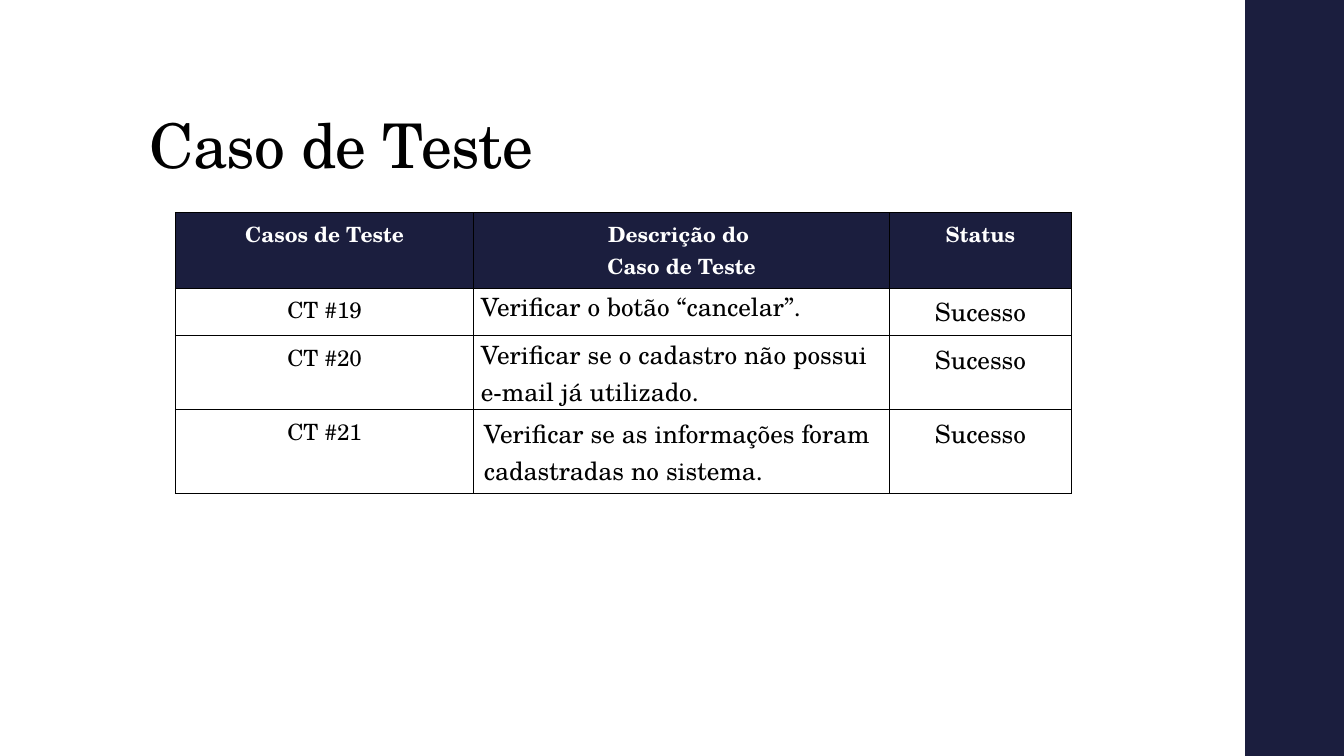
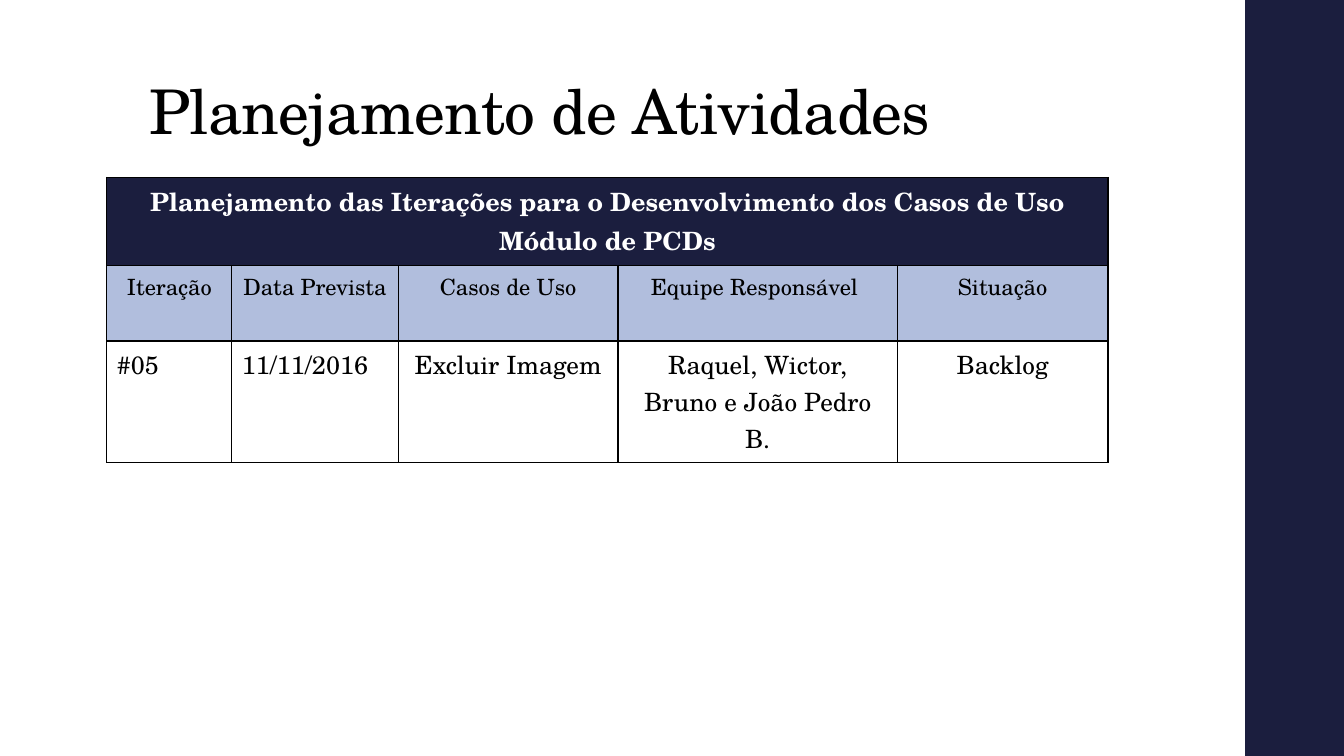
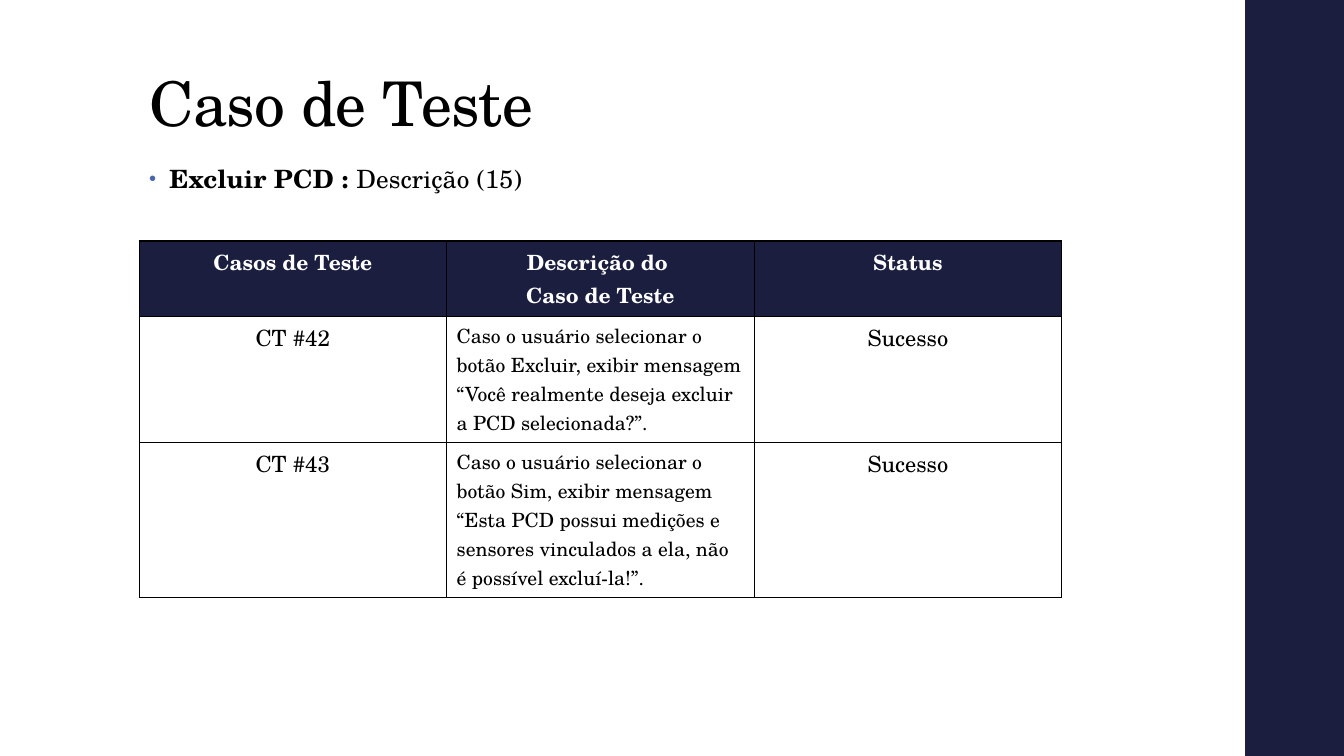
import pptx
import pptx.util
import pptx.dml.color
import pptx.enum.shapes
import pptx.enum.text
import pptx.oxml.ns
from lxml import etree

Inches, Pt = pptx.util.Inches, pptx.util.Pt
qn = pptx.oxml.ns.qn
ALIGN = {"l": pptx.enum.text.PP_ALIGN.LEFT, "c": pptx.enum.text.PP_ALIGN.CENTER}

# Shared look
FONT = "TeX Gyre Schola"
NAVY, PALE, WHITE, BLACK, BULLET = "1B1E3E", "B1BEDD", "FFFFFF", "000000", "4A66AC"
ROW_STYLES = {  # fill, text colour, bold
    "header": (NAVY, WHITE, True),
    "subheader": (PALE, BLACK, False),
    "body": (WHITE, BLACK, False),
}

# Content: each row is (style, height, text sizes, alignments, cell texts)
CASE_HEADER = ("header", 0.75, (15, 15, 15), "ccc",
               ("Casos de Teste", "Descrição do \nCaso de Teste", "Status"))
SLIDES = [
    {
        "title": "Caso de Teste", "title_box": (1.38, 0.4, 10.6, 1.45),
        "corner": (1.74, 2.11), "columns": (2.96, 4.12, 1.81),
        "rows": [
            CASE_HEADER,
            ("body", 0.47, (16, 18, 18), "clc",
             ("CT #19", "Verificar o botão “cancelar”.", "Sucesso")),
            ("body", 0.73, (16, 18, 18), "clc",
             ("CT #20", "Verificar se o cadastro não possui e-mail já utilizado.", "Sucesso")),
            ("body", 0.83, (16, 18, 18), "clc",
             ("CT #21", "Verificar se as informações foram cadastradas no sistema.", "Sucesso")),
        ],
        "tight_cells": [(1, 1), (2, 1)],
    },
    {
        "title": "Planejamento de Atividades", "title_box": (1.38, 0.67, 8.35, 0.85),
        "corner": (1.06, 1.76), "columns": (1.24, 1.65, 2.18, 2.77, 2.09),
        "rows": [
            ("header", 0.87, (18,), "c",
             ("Planejamento das Iterações para o Desenvolvimento dos Casos de Uso\nMódulo de PCDs",)),
            ("subheader", 0.75, (16,) * 5, "ccccc",
             ("Iteração", "Data Prevista", "Casos de Uso", "Equipe Responsável ", "Situação")),
            ("body", 1.2, (18,) * 5, "llccc",
             ("#05", "11/11/2016", "Excluir Imagem", "Raquel, Wictor, Bruno e João Pedro B.", "Backlog")),
        ],
    },
    {
        "title": "Caso de Teste", "title_box": (1.38, 0.62, 4.18, 0.82),
        "bullet": (("Excluir PCD : ", True), ("Descrição (15)", False)),
        "bullet_box": (1.38, 1.59, 9.4, 4.76),
        "corner": (1.38, 2.39), "columns": (3.05,) * 3,
        "rows": [
            CASE_HEADER,
            ("body", 1.25, (16, 14, 16), "clc",
             ("CT #42", "Caso o usuário selecionar o botão Excluir, exibir mensagem "
              "“Você realmente deseja excluir a PCD selecionada?”.", "Sucesso")),
            ("body", 1.54, (16, 14, 16), "clc",
             ("CT #43", "Caso o usuário selecionar o botão Sim, exibir mensagem “Esta PCD possui "
              "medições e sensores vinculados a ela, não é possível excluí-la!”.", "Sucesso")),
        ],
    },
]


def rgb(value):
    return pptx.dml.color.RGBColor.from_string(value)


def paint(target, color):
    target.fill.solid()
    target.fill.fore_color.rgb = rgb(color)


def add_run(paragraph, text, size, color=BLACK, bold=False):
    run = paragraph.add_run()
    run.text = text
    run.font.name, run.font.size, run.font.bold = FONT, Pt(size), bold
    run.font.color.rgb = rgb(color)


def add_band(prs, slide):
    """Draw the side band, then hand it to the master so all slides share it."""
    band = slide.shapes.add_shape(pptx.enum.shapes.MSO_SHAPE.RECTANGLE,
                                  Inches(12.35), 0, Inches(1), prs.slide_height)
    band.shadow.inherit = False
    paint(band, NAVY)
    band.line.fill.background()
    band.element.nvSpPr.cNvPr.set("id", "99")
    prs.slide_master.shapes.element.insert(2, band.element)


def prepare_placeholder(holder, box, anchor, line_spacing):
    holder.left, holder.top, holder.width, holder.height = map(Inches, box)
    frame = holder.text_frame
    frame.auto_size = pptx.enum.text.MSO_AUTO_SIZE.NONE
    frame.word_wrap = True
    frame.vertical_anchor = anchor
    paragraph = frame.paragraphs[0]
    paragraph.alignment = ALIGN["l"]
    paragraph.line_spacing = line_spacing
    paragraph.space_before = Pt(0)
    return paragraph


def set_tracking(holder, hundredths):
    for properties in holder.element.iter(qn("a:rPr")):
        properties.set("spc", str(hundredths))


def fill_title(slide, text, box):
    title = slide.shapes.title
    paragraph = prepare_placeholder(title, box, pptx.enum.text.MSO_ANCHOR.BOTTOM, 0.9)
    add_run(paragraph, text, 44)
    set_tracking(title, -50)


def fill_bullet(slide, runs, box):
    body = slide.placeholders[1]
    paragraph = prepare_placeholder(body, box, pptx.enum.text.MSO_ANCHOR.TOP, 0.95)
    paragraph.space_after = Pt(2)
    properties = next(body.element.iter(qn("a:pPr")))
    properties.set("marL", str(Inches(0.2)))
    properties.set("indent", str(Inches(-0.2)))
    color = etree.SubElement(properties, qn("a:buClr"))
    etree.SubElement(color, qn("a:srgbClr"), val=BULLET)
    etree.SubElement(properties, qn("a:buSzPct"), val="80000")
    etree.SubElement(properties, qn("a:buChar"), char="•")
    for text, bold in runs:
        add_run(paragraph, text, 18, bold=bold)
    set_tracking(body, 10)


def add_borders(table_frame):
    for tc in table_frame.element.iter(qn("a:tc")):
        properties = tc.get_or_add_tcPr()
        for side in ("lnL", "lnR", "lnT", "lnB"):
            line = etree.SubElement(properties, qn("a:" + side), w=str(Pt(1)))
            solid = etree.SubElement(line, qn("a:solidFill"))
            etree.SubElement(solid, qn("a:srgbClr"), val=BLACK)


def add_grid(slide, corner, columns, rows, tight_cells=()):
    heights = [row[1] for row in rows]
    grid_frame = slide.shapes.add_table(
        len(rows), len(columns), *map(Inches, (*corner, sum(columns), sum(heights))))
    grid = grid_frame.table
    grid.first_row = grid.horz_banding = False
    add_borders(grid_frame)
    for column, width in zip(grid.columns, columns):
        column.width = Inches(width)
    for r, (style, height, sizes, aligns, texts) in enumerate(rows):
        fill, color, bold = ROW_STYLES[style]
        grid.rows[r].height = Inches(height)
        for c in range(len(columns)):
            paint(grid.cell(r, c), fill)
        if len(texts) == 1:
            grid.cell(r, 0).merge(grid.cell(r, len(columns) - 1))
        for c, (text, size, align) in enumerate(zip(texts, sizes, aligns)):
            frame = grid.cell(r, c).text_frame
            for i, line in enumerate(text.split("\n")):
                paragraph = frame.add_paragraph() if i else frame.paragraphs[0]
                paragraph.alignment = ALIGN[align]
                add_run(paragraph, line, size, color, bold)
    for r, c in tight_cells:
        cell = grid.cell(r, c)
        cell.margin_left = cell.margin_right = Inches(0.07)
        cell.margin_top = cell.margin_bottom = 0


def main():
    prs = pptx.Presentation()
    prs.slide_width, prs.slide_height = Inches(13.33), Inches(7.5)
    for number, content in enumerate(SLIDES):
        layout = prs.slide_layouts[1 if "bullet" in content else 5]
        slide = prs.slides.add_slide(layout)
        if number == 0:
            add_band(prs, slide)
        fill_title(slide, content["title"], content["title_box"])
        if "bullet" in content:
            fill_bullet(slide, content["bullet"], content["bullet_box"])
        add_grid(slide, content["corner"], content["columns"], content["rows"],
                 content.get("tight_cells", ()))
    prs.save("out.pptx")


if __name__ == "__main__":
    main()
